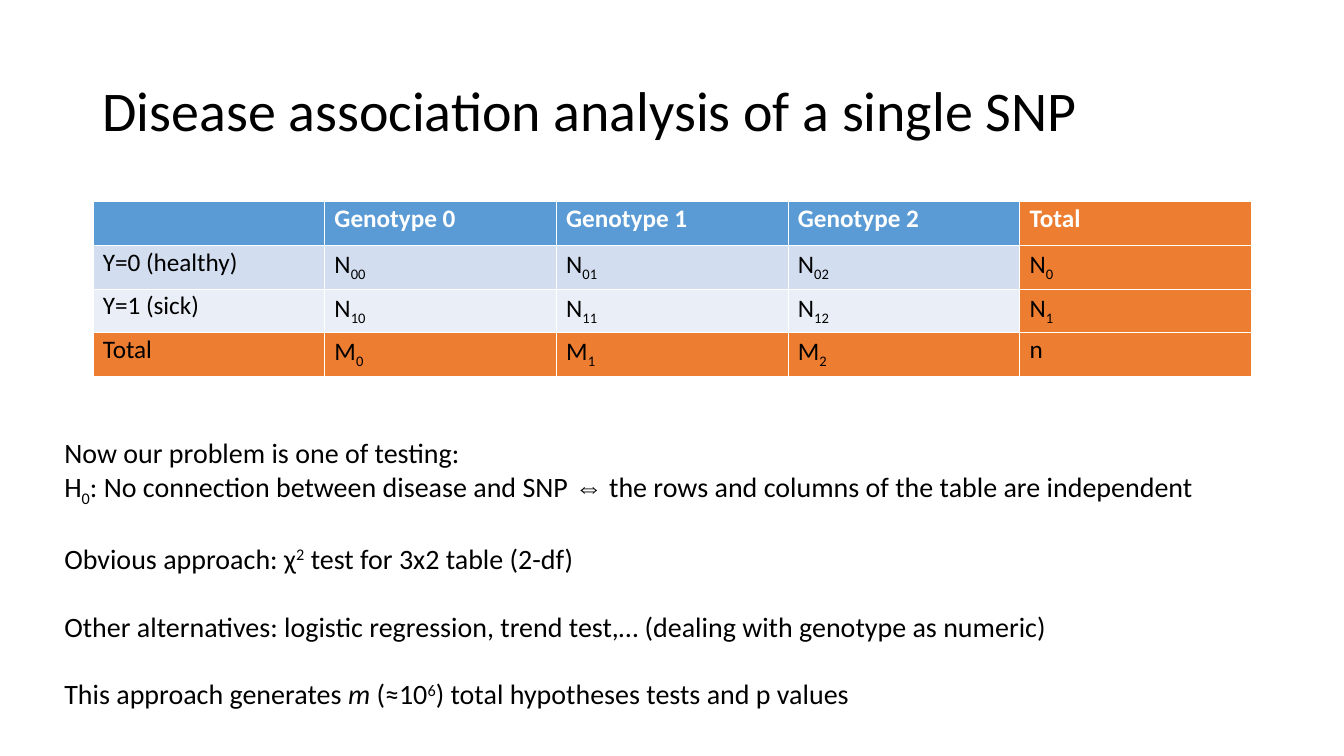
from pptx import Presentation
from pptx.dml.color import RGBColor
from pptx.enum.text import MSO_ANCHOR as Anchor
from pptx.oxml import parse_xml
from pptx.oxml.ns import nsdecls
from pptx.util import Inches, Pt

TITLE = "Disease association analysis of a single SNP"
COUNTS = [
    ["", "Genotype 0", "Genotype 1", "Genotype 2", "Total"],
    ["Y=0 (healthy)", "N|_00", "N|_01", "N|_02", "N|_0"],
    ["Y=1 (sick)", "N|_10", "N|_11", "N|_12", "N|_1"],
    ["Total", "M|_0", "M|_1", "M|_2", "n"],
]
NOTES = [
    ("Now our problem is one of testing:", 0),
    ("H|_0|: No connection between disease and SNP |~⇔"
     "| the rows and columns of the table are independent", 0),
    ("Obvious approach: χ|^2| test for 3x2 table (2-df)", 1),
    ("Other alternatives: logistic regression, trend test,… "
     "(dealing with genotype as numeric)", 1),
    ("This approach generates |/m| (≈10|^6|) total hypotheses tests and p values", 1),
]
BLACK, WHITE, TOTAL_FILL = "000000", "FFFFFF", "ED7D31"
ROW_FILLS = ["5B9BD5", "D2DEEF", "EAEFF7", TOTAL_FILL]
BASELINES = {"_": "-25000", "^": "30000"}
LEFT, COLUMN, ROW = 0.92, 2.3, 0.43
NOTE_SIZE, LINE_HEIGHT = 20, 1.22


def color(value):
    return RGBColor.from_string(value)


def write(para, marked, size, ink=BLACK, bold=False):
    for part in filter(None, marked.split("|")):
        mark = part[0] if part[0] in "_^~/" else ""
        span = para.add_run()
        span.text = part[len(mark):]
        font = span.font
        font.name = "Arial" if mark == "~" else "Calibri"
        font.size, font.bold, font.italic = Pt(size), bold, mark == "/"
        font.color.rgb = color(ink)
        if mark in BASELINES:
            font._element.set("baseline", BASELINES[mark])


def add_box(page, left, top, width, height):
    box = page.shapes.add_textbox(*map(Inches, (left, top, width, height)))
    box.text_frame.word_wrap = True
    return box.text_frame


def add_border(cell, side, width):
    line = parse_xml(
        f'<a:{side} {nsdecls("a")} w="{Pt(width)}"><a:solidFill>'
        f'<a:srgbClr val="{WHITE}"/></a:solidFill></a:{side}>')
    properties = cell._tc.get_or_add_tcPr()
    properties.insert(len(properties.findall("*")) - 1, line)


deck = Presentation()
deck.slide_width, deck.slide_height = Inches(13.34), Inches(7.5)
page = deck.slides.add_slide(deck.slide_layouts[6])

title = add_box(page, LEFT, 0.4, 5 * COLUMN, 1.45)
title.vertical_anchor = Anchor.MIDDLE
title.paragraphs[0].line_spacing = 0.9
write(title.paragraphs[0], TITLE, 40)

table = page.shapes.add_table(
    len(COUNTS), len(COUNTS[0]), Inches(LEFT), Inches(2),
    Inches(5 * COLUMN), Inches(4 * ROW)).table
for column in table.columns:
    column.width = Inches(COLUMN)
for row_index, texts in enumerate(COUNTS):
    header = row_index == 0
    table.rows[row_index].height = Inches(ROW + 0.01 * header)
    for column_index, text in enumerate(texts):
        cell = table.cell(row_index, column_index)
        last = column_index == len(texts) - 1
        cell.fill.solid()
        cell.fill.fore_color.rgb = color(TOTAL_FILL if last else ROW_FILLS[row_index])
        for side in ("lnL", "lnR", "lnT", "lnB"):
            heavy = (row_index, side) in ((0, "lnB"), (1, "lnT"))
            add_border(cell, side, 0.74 if heavy else 0.23)
        para = cell.text_frame.paragraphs[0]
        para.line_spacing = 0.83
        write(para, text, 18, WHITE if header else BLACK, header)

notes = add_box(page, 0.54, 4.27, 12.33, 3.15)
for index, (text, blank_lines) in enumerate(NOTES):
    para = notes.add_paragraph() if index else notes.paragraphs[0]
    para.space_before = Pt(blank_lines * NOTE_SIZE * LINE_HEIGHT)
    write(para, text, NOTE_SIZE)

deck.save("out.pptx")
